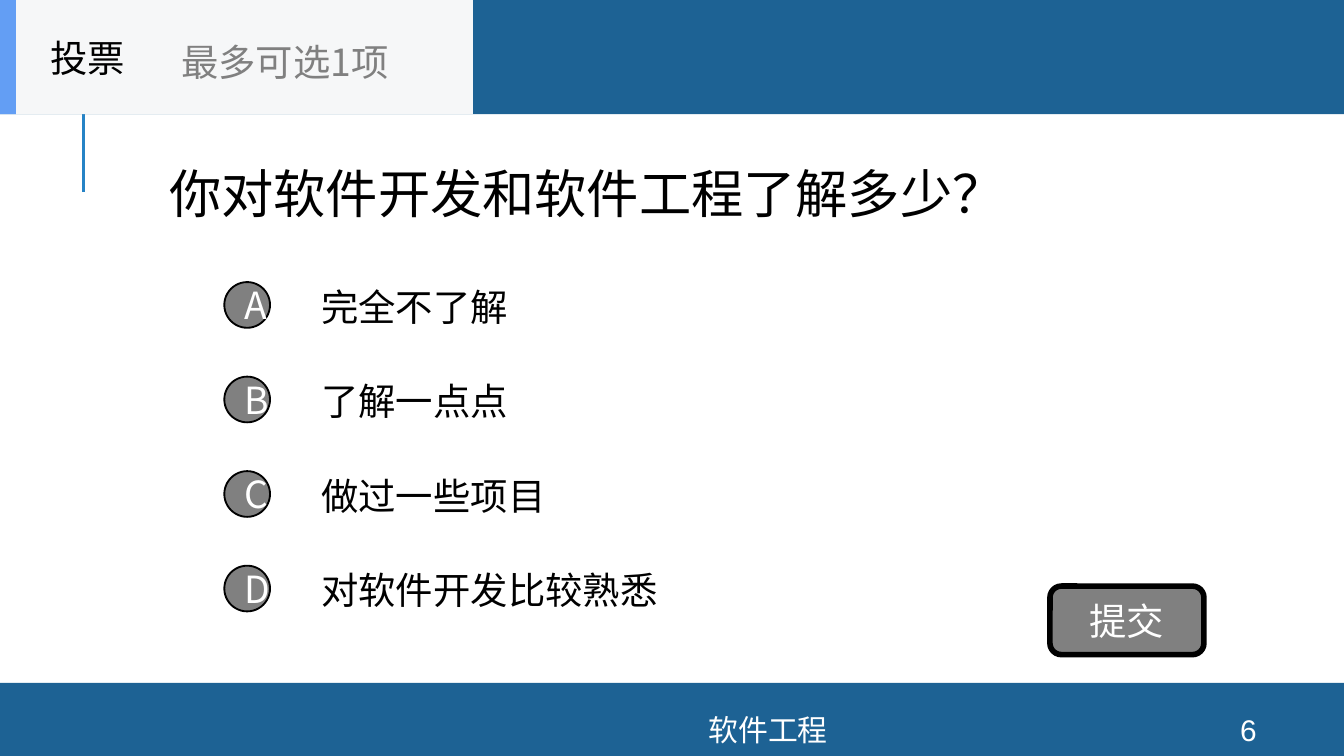
from lxml.etree import SubElement
from pptx import Presentation
from pptx.dml.color import RGBColor
from pptx.enum.shapes import MSO_CONNECTOR as Connector, MSO_SHAPE as Shape
from pptx.enum.text import MSO_ANCHOR as Anchor, MSO_AUTO_SIZE as AutoSize, PP_ALIGN as Align
from pptx.oxml.ns import qn
from pptx.util import Pt

QUESTION = "你对软件开发和软件工程了解多少？"
OPTIONS = [  # letter, answer, width of the answer
    ("A", "完全不了解", 177),
    ("B", "了解一点点", 177),
    ("C", "做过一些项目", 177),
    ("D", "对软件开发比较熟悉", 250.5),
]
POLL, POLL_RULE = "投票", "最多可选1项"
SUBMIT = "提交"
COURSE, PAGE = "软件工程", "6"

WIDTH, HEIGHT = 720, 405
HEADER_BOTTOM, FOOTER_TOP = 61.2, 365.8
FOOTER_TEXT_TOP, FOOTER_TEXT_HEIGHT = 382.3, 16.6
OPTION_TOP, OPTION_PITCH, OPTION_HEIGHT = 144.9, 50.64, 38.2
BADGE_LEFT, BADGE_SIZE, ANSWER_LEFT = 120.2, 24.5, 165
CJK = "Noto Sans CJK SC"
BLUE, GRAY, WHITE, BLACK = "1D6294", "808080", "FFFFFF", "000000"


def color(hex_code):
    return RGBColor.from_string(hex_code)


def write(shape, text, size=20, font=CJK, ink=BLACK, align=Align.LEFT, wrap=True):
    frame = shape.text_frame
    frame.auto_size = AutoSize.NONE
    frame.word_wrap = wrap
    frame.vertical_anchor = Anchor.MIDDLE
    paragraph = frame.paragraphs[0]
    paragraph.alignment = align
    run = paragraph.add_run()
    run.text = text
    run.font.size = Pt(size)
    run.font.color.rgb = color(ink)
    run.font.name = font
    if font == CJK:
        SubElement(run.font._element, qn("a:ea"), typeface=font)


def add_text(slide, box, text, **text_format):
    write(slide.shapes.add_textbox(*map(Pt, box)), text, **text_format)


def add_shape(slide, kind, box, fill, outline=0):
    shape = slide.shapes.add_shape(kind, *map(Pt, box))
    shape.shadow.inherit = False
    shape.fill.solid()
    shape.fill.fore_color.rgb = color(fill)
    if outline:
        shape.line.color.rgb = color(BLACK)
        shape.line.width = Pt(outline)
    else:
        shape.line.fill.background()
    return shape


deck = Presentation()
deck.slide_width, deck.slide_height = Pt(WIDTH), Pt(HEIGHT)
slide = deck.slides.add_slide(deck.slide_layouts[5])

question = slide.shapes.title
question.left, question.top, question.width, question.height = map(Pt, (83.5, 61.2, 561.6, 83.5))
write(question, QUESTION, size=28)

stem = slide.shapes.add_connector(Connector.STRAIGHT, Pt(44.8), Pt(103), Pt(44.8), Pt(49))
stem.line.color.rgb = color("2683C6")
stem.line.width = Pt(1.5)
SubElement(stem._element.spPr, qn("a:effectLst"))

add_shape(slide, Shape.RECTANGLE, (0, FOOTER_TOP, WIDTH, HEIGHT - FOOTER_TOP), BLUE)
add_shape(slide, Shape.RECTANGLE, (0, -2, WIDTH, HEADER_BOTTOM + 2), BLUE)

for row, (letter, answer, answer_width) in enumerate(OPTIONS):
    top = OPTION_TOP + row * OPTION_PITCH
    add_text(slide, (ANSWER_LEFT, top, answer_width, OPTION_HEIGHT), answer)
    badge_top = top + (OPTION_HEIGHT - BADGE_SIZE) / 2 - 0.6
    badge = add_shape(slide, Shape.OVAL, (BADGE_LEFT, badge_top, BADGE_SIZE, BADGE_SIZE), GRAY, outline=1)
    write(badge, letter, ink=WHITE, align=Align.CENTER)

submit = add_shape(slide, Shape.ROUNDED_RECTANGLE, (562.5, 314, 82.5, 36.7), GRAY, outline=3)
write(submit, SUBMIT, ink=WHITE, align=Align.CENTER)

for label, left, width in [(COURSE, 188, 447), (PAGE, 640, 57.6)]:
    add_text(slide, (left, FOOTER_TEXT_TOP, width, FOOTER_TEXT_HEIGHT), label,
             size=16, font="Arial", ink=WHITE, align=Align.CENTER)

add_shape(slide, Shape.RECTANGLE, (0, 0, 253.4, HEADER_BOTTOM), "F6F7F8")
add_shape(slide, Shape.RECTANGLE, (0, 0, 8.5, HEADER_BOTTOM), "639EF4")
add_text(slide, (20, 0, 84.2, HEADER_BOTTOM), POLL, wrap=False)
add_text(slide, (90, 8.6, 101.5, 49), POLL_RULE, ink=GRAY, wrap=False)

deck.save("out.pptx")
